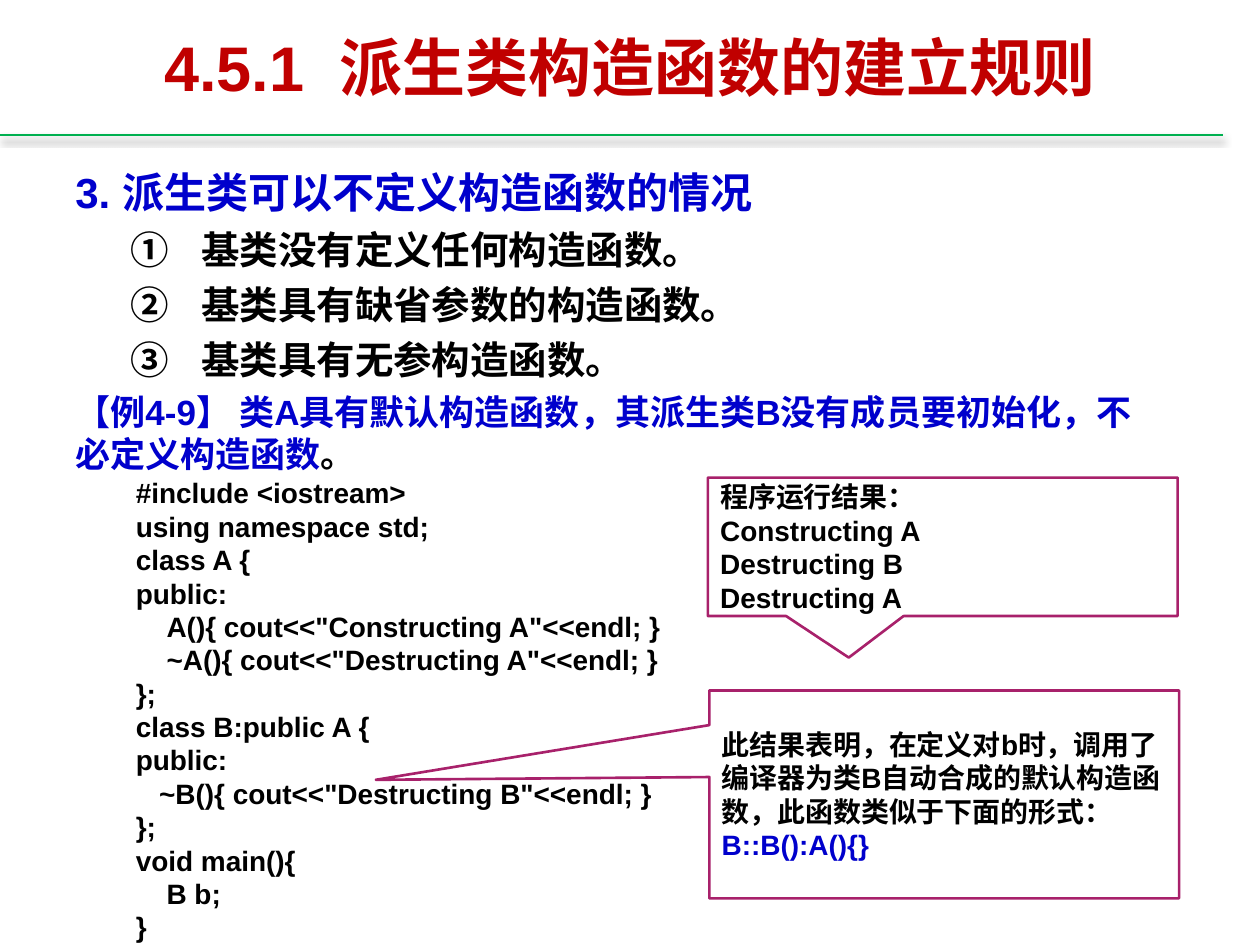
from dataclasses import dataclass

from lxml.etree import SubElement
from pptx import Presentation
from pptx.dml.color import RGBColor
from pptx.enum.lang import MSO_LANGUAGE_ID
from pptx.enum.shapes import MSO_CONNECTOR, MSO_SHAPE
from pptx.enum.text import MSO_ANCHOR, PP_ALIGN
from pptx.oxml.ns import qn
from pptx.util import Cm, Pt

BLACK, BLUE, RED = "000000", "0000CC", "C00000"
GREEN, PLUM = "00B050", "A8216B"
LEAD = 0.23  # space before a paragraph, as a share of its text size


@dataclass
class Box:
    left: float
    top: float
    width: float
    height: float

    def args(self) -> tuple:
        return Cm(self.left), Cm(self.top), Cm(self.width), Cm(self.height)


@dataclass
class Note:
    box: Box
    tip: tuple[float, float]
    lines: list[tuple[str, str]]


@dataclass
class Code:
    text: str
    inset: float = 0


POINTS = ["基类没有定义任何构造函数。", "基类具有缺省参数的构造函数。", "基类具有无参构造函数。"]

CODE = [
    Code("#include <iostream>"),
    Code("using namespace std;"),
    Code("class A {"),
    Code("public:"),
    Code('A(){ cout<<"Constructing A"<<endl; }', 0.62),
    Code('~A(){ cout<<"Destructing A"<<endl; }', 0.62),
    Code("};"),
    Code("class B:public A {"),
    Code("public:"),
    Code('~B(){ cout<<"Destructing B"<<endl; }', 0.47),
    Code("};"),
    Code("void main(){"),
    Code("B b;", 0.62),
    Code("}"),
]

NOTES = [
    Note(Box(14.27, 9.63, 9.47, 2.79), (-0.2, 0.8), [
        ("程序运行结果：", BLACK),
        ("Constructing A", BLACK),
        ("Destructing B", BLACK),
        ("Destructing A", BLACK),
    ]),
    Note(Box(14.3, 13.92, 9.47, 4.19), (-1.21, -0.07), [
        ("此结果表明，在定义对b时，调用了编译器为类B自动合成的默认构造函数，此函数类似于下面的形式：", BLACK),
        ("B::B():A(){}", BLUE),
    ]),
]


def paint(target, color: str) -> None:
    target.rgb = RGBColor.from_string(color)


def add_run(par, text: str, size: float, color: str) -> None:
    run = par.add_run()
    run.text = text
    font = run.font
    font.name, font.size, font.bold = "Arial", Pt(size), True
    font.language_id = MSO_LANGUAGE_ID.SIMPLIFIED_CHINESE
    paint(font.color, color)


def write(frame, text: str, size: float = 16, color: str = BLACK, align=PP_ALIGN.LEFT,
          lead: float = 0, line: float = 1, margin: float = 0, hang: float = 0,
          mark: str = ""):
    """Add a paragraph, filling the first one while it is empty."""
    first = frame.paragraphs[0]
    par = frame.add_paragraph() if first.runs else first
    par.alignment, par.line_spacing = align, line
    par.space_before = Pt(round(size * lead, 1))
    props = par._p.get_or_add_pPr()
    props.set("marL", str(Cm(margin)))
    props.set("indent", str(Cm(-hang)))
    if mark:
        SubElement(props, qn("a:buAutoNum"), type=mark)
    add_run(par, text, size, color)
    return par


def add_frame(slide, box: Box):
    frame = slide.shapes.add_textbox(*box.args()).text_frame
    frame.word_wrap = True
    return frame


def add_rule(slide) -> None:
    rule = slide.shapes.add_connector(
        MSO_CONNECTOR.STRAIGHT, Cm(0), Cm(2.72), Cm(24.66), Cm(2.72))
    rule.line.width = Pt(1.25)
    paint(rule.line.fill.fore_color if rule.line.fill.solid() else rule.line.color, GREEN)
    effects = SubElement(rule._element.spPr, qn("a:effectLst"))
    shade = SubElement(effects, qn("a:outerShdw"), blurRad=str(Pt(4)),
                       dist=str(Pt(2.5)), dir="5400000", rotWithShape="0")
    tone = SubElement(shade, qn("a:srgbClr"), val=BLACK)
    SubElement(tone, qn("a:alpha"), val="47000")


def add_title(slide) -> None:
    title = slide.shapes.title
    title.left, title.top, title.width, title.height = Box(1.27, 0.2, 22.86, 2.26).args()
    title.text_frame.vertical_anchor = MSO_ANCHOR.MIDDLE
    write(title.text_frame, "4.5.1  派生类构造函数的建立规则", size=36, color=RED,
          align=PP_ALIGN.CENTER)


def add_body(slide) -> None:
    frame = add_frame(slide, Box(1.27, 3.23, 22.2, 6.3))
    write(frame, "3. 派生类可以不定义构造函数的情况", size=24, color=BLUE, lead=LEAD,
          margin=0.95, hang=0.95)
    for point in POINTS:
        par = write(frame, point, size=22, lead=LEAD, margin=2.54, hang=1.43,
                    mark="circleNumDbPlain")
        par.level = 1
    par = write(frame, "【例4-9】 类A具有默认构造函数，其派生类B没有成员要初始化，不必定义构造函数",
                size=20, color=BLUE, lead=LEAD)
    add_run(par, "。", 20, BLACK)


def add_code(slide) -> None:
    frame = add_frame(slide, Box(2.49, 9.6, 14.22, 9.45))
    for row in CODE:
        write(frame, row.text, lead=LEAD, line=0.8, margin=0.95 + row.inset, hang=0.95)


def add_note(slide, note: Note) -> None:
    shape = slide.shapes.add_shape(MSO_SHAPE.RECTANGULAR_CALLOUT, *note.box.args())
    shape.shadow.inherit = False
    shape.fill.background()
    shape.line.width = Pt(1.5)
    paint(shape.line.color, PLUM)
    for spot, value in enumerate(note.tip):
        shape.adjustments[spot] = value
    frame = shape.text_frame
    frame.word_wrap = True
    frame.vertical_anchor = MSO_ANCHOR.MIDDLE
    for text, color in note.lines:
        write(frame, text, color=color)


def main() -> None:
    deck = Presentation()
    deck.slide_width, deck.slide_height = Cm(25.4), Cm(19.05)
    slide = deck.slides.add_slide(deck.slide_layouts[5])
    add_rule(slide)
    add_title(slide)
    add_body(slide)
    add_code(slide)
    for note in NOTES:
        add_note(slide, note)
    deck.save("out.pptx")


if __name__ == "__main__":
    main()
